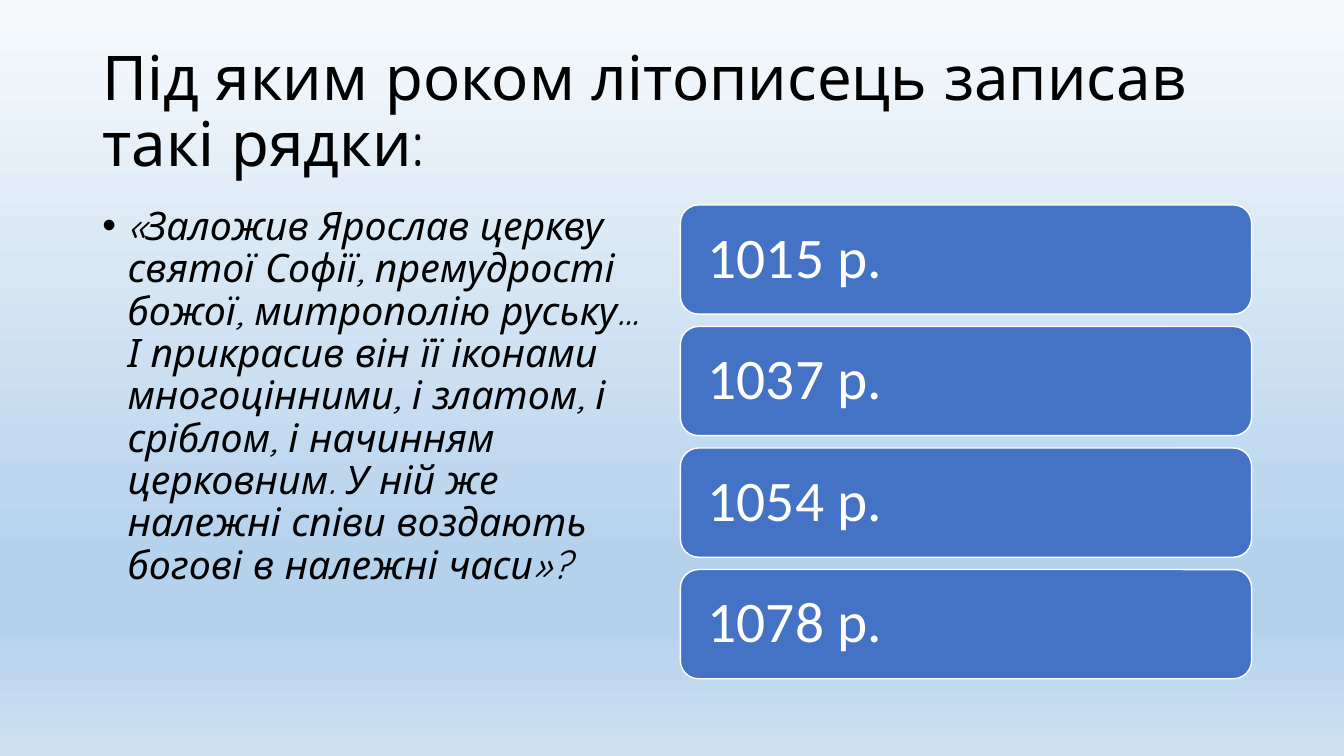
from copy import deepcopy

from lxml.etree import SubElement
from pptx import Presentation
from pptx.dml.color import RGBColor
from pptx.enum.shapes import MSO_SHAPE
from pptx.enum.text import MSO_ANCHOR, PP_ALIGN
from pptx.oxml.ns import qn
from pptx.util import Inches, Pt

BLACK = RGBColor(0x00, 0x00, 0x00)
WHITE = RGBColor(0xFF, 0xFF, 0xFF)
BLUE = RGBColor(0x44, 0x72, 0xC4)
SKY = [
    (0, RGBColor(0xF7, 0xFA, 0xFD)),
    (0.74, RGBColor(0xB5, 0xD2, 0xEC)),
    (0.83, RGBColor(0xB5, 0xD2, 0xEC)),
    (1, RGBColor(0xCE, 0xE1, 0xF2)),
]

COLUMNS, ROWS = 160, 90
QUOTE = (
    "«Заложив Ярослав церкву святої Софії, премудрості божої, митрополію "
    "руську... І прикрасив він її іконами многоцінними, і златом, і сріблом, "
    "і начинням церковним. У ній же належні співи воздають богові в належні "
    "часи»?"
)
YEARS = ["1015 р.", "1037 р.", "1054 р.", "1078 р."]
FIRST_ANSWER_ROW, ANSWER_STEP, ANSWER_HEIGHT = 24.4, 14.47, 13


def write(shape, text, *, size, font="Quicksand", color=BLACK, italic=False,
          anchor=MSO_ANCHOR.TOP, side_inset=0.1, bullet=False):
    frame = shape.text_frame
    frame.word_wrap = True
    frame.vertical_anchor = anchor
    frame.margin_left = frame.margin_right = Inches(side_inset)
    para = frame.paragraphs[0]
    para.alignment = PP_ALIGN.LEFT
    para.line_spacing = 0.9
    if bullet:
        properties = para._p.get_or_add_pPr()
        properties.set("marL", str(Inches(0.25)))
        properties.set("indent", str(Inches(-0.25)))
        SubElement(properties, qn("a:buFont"), typeface="Arial")
        SubElement(properties, qn("a:buChar"), char="•")
    span = para.add_run()
    span.text = text
    span.font.name = font
    span.font.size = Pt(size)
    span.font.italic = italic
    span.font.color.rgb = color


class QuizSlide:
    """Holds the current page and its grid of 160 columns by 90 rows."""

    def __init__(self, deck):
        self.page = deck.slides.add_slide(deck.slide_layouts[6])
        self.column = deck.slide_width / COLUMNS
        self.row = deck.slide_height / ROWS

    def area(self, left, top, width, height):
        return (round(left * self.column), round(top * self.row),
                round(width * self.column), round(height * self.row))

    def background(self, stops):
        fill = self.page.background.fill
        fill.gradient()
        fill.gradient_angle = 270
        stop_list = next(self.page.element.iter(qn("a:gsLst")))
        while len(stop_list) < len(stops):
            stop_list.append(deepcopy(stop_list[0]))
        for stop, (position, color) in zip(fill.gradient_stops, stops):
            stop.position = position
            stop.color.rgb = color

    def text(self, area, text, **style):
        box = self.page.shapes.add_textbox(*self.area(*area))
        write(box, text, **style)

    def answer(self, area, text):
        card = self.page.shapes.add_shape(
            MSO_SHAPE.ROUNDED_RECTANGLE, *self.area(*area))
        card.shadow.inherit = False
        card.fill.solid()
        card.fill.fore_color.rgb = BLUE
        card.line.color.rgb = WHITE
        card.line.width = Pt(1)
        write(card, text, size=41, font="Calibri", color=WHITE,
              anchor=MSO_ANCHOR.MIDDLE, side_inset=0.22)


def main():
    deck = Presentation()
    deck.slide_width, deck.slide_height = Inches(13.33), Inches(7.5)
    quiz = QuizSlide(deck)
    quiz.background(SKY)
    quiz.text((11, 4.8, 138, 17.4),
              "Під яким роком літописець записав такі рядки:",
              size=44, anchor=MSO_ANCHOR.MIDDLE)
    quiz.text((11, 24, 68, 57.1), QUOTE, size=28, italic=True, bullet=True)
    for index, year in enumerate(YEARS):
        top = FIRST_ANSWER_ROW + index * ANSWER_STEP
        quiz.answer((81, top, 68, ANSWER_HEIGHT), year)
    deck.save("out.pptx")


if __name__ == "__main__":
    main()
